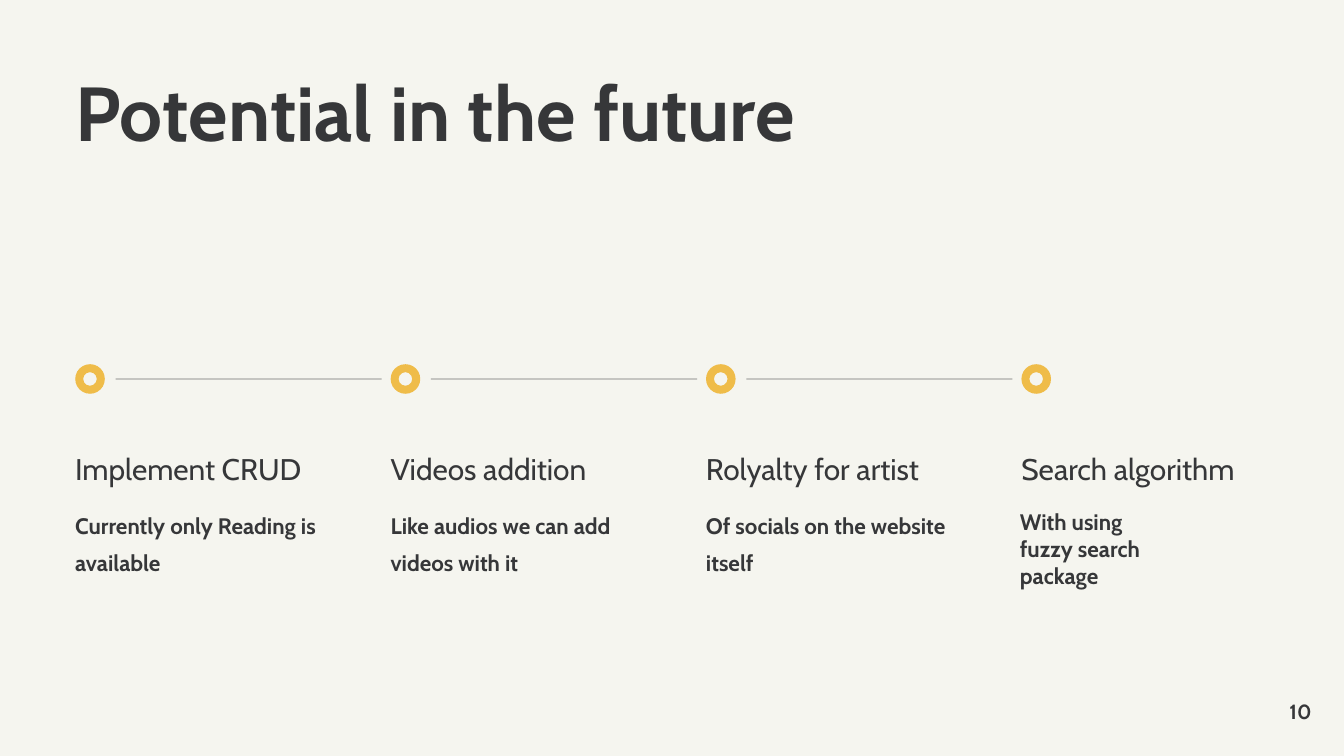
"""Build the roadmap slide with four future milestones."""
import lxml.etree
import pptx
import pptx.dml.color
import pptx.enum.shapes
import pptx.enum.text
import pptx.oxml.ns
import pptx.util

Inches = pptx.util.Inches
Align = pptx.enum.text.PP_ALIGN
Anchor = pptx.enum.text.MSO_ANCHOR
qn = pptx.oxml.ns.qn

COLORS = {"background": "F5F5EF", "ink": "363739", "marker": "EFBC49"}
SLIDE_WIDTH = 10
SLIDE_HEIGHT = SLIDE_WIDTH * 9 / 16
LEFT = 0.56
PITCH = (7.6 - LEFT) / 3
COLUMN_WIDTH = 1.84
MARKER_SIZE = 0.22
TRACK_Y = 2.82
MILESTONES = [
    ("Implement CRUD", "Currently only Reading is available"),
    ("Videos addition", "Like audios we can add videos with it"),
    ("Rolyalty for artist", "Of socials on the website itself"),
    ("Search algorithm", "With using fuzzy search package"),
]


def color(name):
    return pptx.dml.color.RGBColor.from_string(COLORS[name])


def write(frame, text, size=12, bold=False, align=Align.LEFT, spacing=1.0,
          anchor=Anchor.TOP, inset=(0, 0)):
    frame.word_wrap = True
    frame.auto_size = pptx.enum.text.MSO_AUTO_SIZE.NONE
    frame.vertical_anchor = anchor
    frame.margin_left = frame.margin_right = Inches(inset[0])
    frame.margin_top = frame.margin_bottom = Inches(inset[1])
    paragraph = frame.paragraphs[0]
    paragraph.alignment = align
    paragraph.line_spacing = spacing
    run = paragraph.add_run()
    run.text = text
    run.font.name = "Cabin"
    run.font.size = pptx.util.Pt(size)
    run.font.bold = bold
    run.font.color.rgb = color("ink")


def add_label(slide, text, left, top, width, height, **text_format):
    label = slide.shapes.add_textbox(
        Inches(left), Inches(top), Inches(width), Inches(height))
    write(label.text_frame, text, **text_format)


def add_title(slide, text):
    title = slide.shapes.title
    title.left, title.top = Inches(LEFT), Inches(0.56)
    title.width, title.height = Inches(7.09), Inches(0.79)
    write(title.text_frame, text, size=41, bold=True, spacing=0.9)


def add_marker(slide, left):
    marker = slide.shapes.add_shape(
        pptx.enum.shapes.MSO_SHAPE.DONUT,
        Inches(left), Inches(TRACK_Y - MARKER_SIZE / 2),
        Inches(MARKER_SIZE), Inches(MARKER_SIZE))
    marker.adjustments[0] = 0.27
    marker.shadow.inherit = False
    marker.fill.solid()
    marker.fill.fore_color.rgb = color("marker")
    marker.line.fill.background()


def add_track(slide, left):
    track = slide.shapes.add_connector(
        pptx.enum.shapes.MSO_CONNECTOR.STRAIGHT,
        Inches(left + 0.3), Inches(TRACK_Y),
        Inches(left + 2.28), Inches(TRACK_Y))
    track.line.width = pptx.util.Pt(0.75)
    track.line.color.rgb = color("ink")
    properties = track._element.spPr
    tint = properties.find(".//" + qn("a:srgbClr"))
    lxml.etree.SubElement(tint, qn("a:alpha"), val="39000")
    lxml.etree.SubElement(properties, qn("a:effectLst"))


def add_milestone(slide, left, heading, detail, is_last):
    add_marker(slide, left)
    add_label(slide, heading, left, 3.25, COLUMN_WIDTH, 0.38,
              size=16, spacing=1.4)
    if is_last:
        add_label(slide, detail, left - 0.11, 3.73, 1.33, 0.71,
                  bold=True, inset=(0.1, 0.05))
    else:
        add_track(slide, left)
        add_label(slide, detail, left, 3.73, COLUMN_WIDTH, 0.57,
                  bold=True, spacing=1.4)


def main():
    deck = pptx.Presentation()
    deck.slide_width = Inches(SLIDE_WIDTH)
    deck.slide_height = Inches(SLIDE_HEIGHT)
    slide = deck.slides.add_slide(deck.slide_layouts[5])
    slide.background.fill.solid()
    slide.background.fill.fore_color.rgb = color("background")

    add_title(slide, "Potential in the future")
    for index, (heading, detail) in enumerate(MILESTONES):
        add_milestone(slide, LEFT + index * PITCH, heading, detail,
                      is_last=index == len(MILESTONES) - 1)
    add_label(slide, "10", 9.16, 5.19, 0.6, 0.2, size=11, bold=True,
              align=Align.RIGHT, anchor=Anchor.MIDDLE)
    deck.save("out.pptx")


if __name__ == "__main__":
    main()
